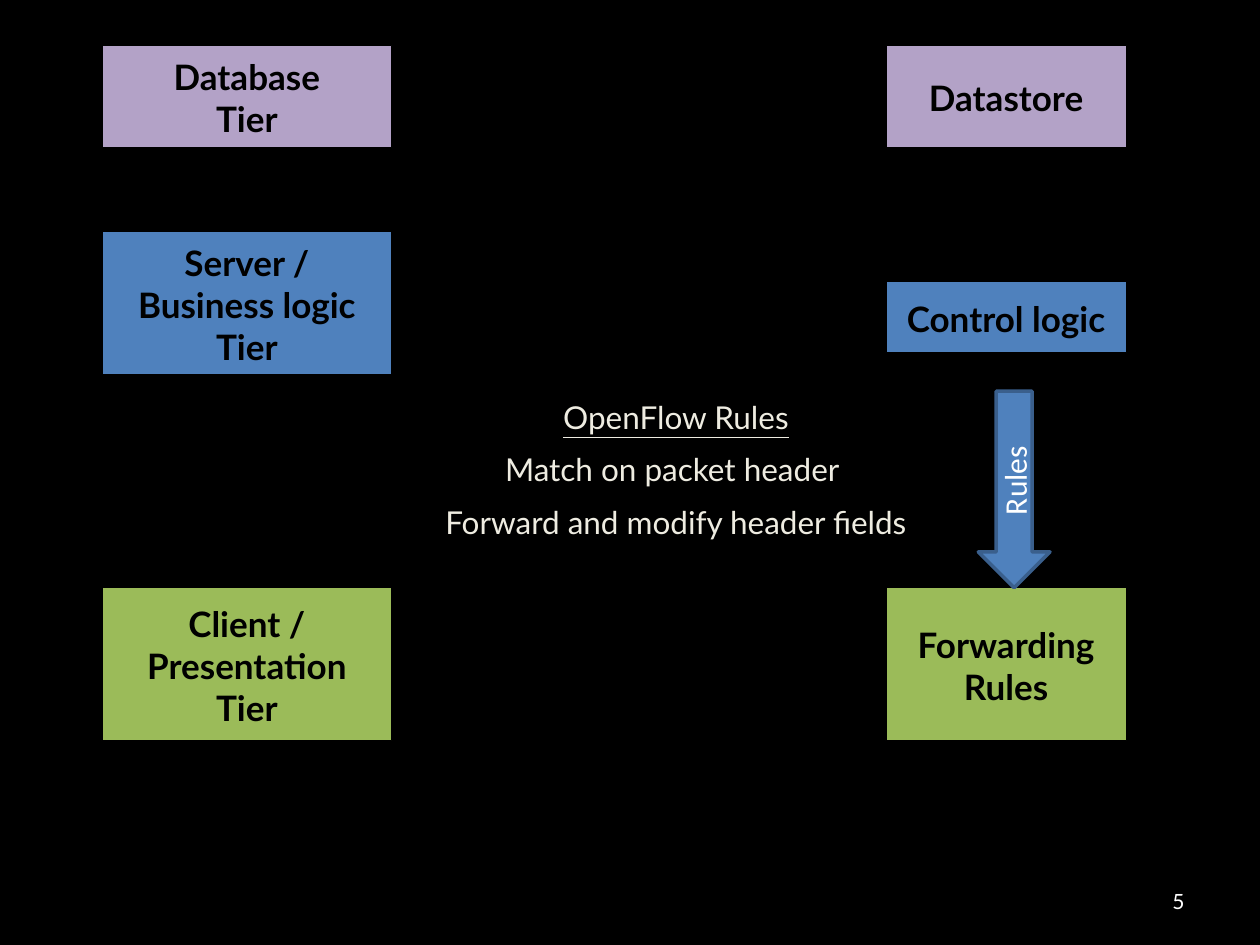
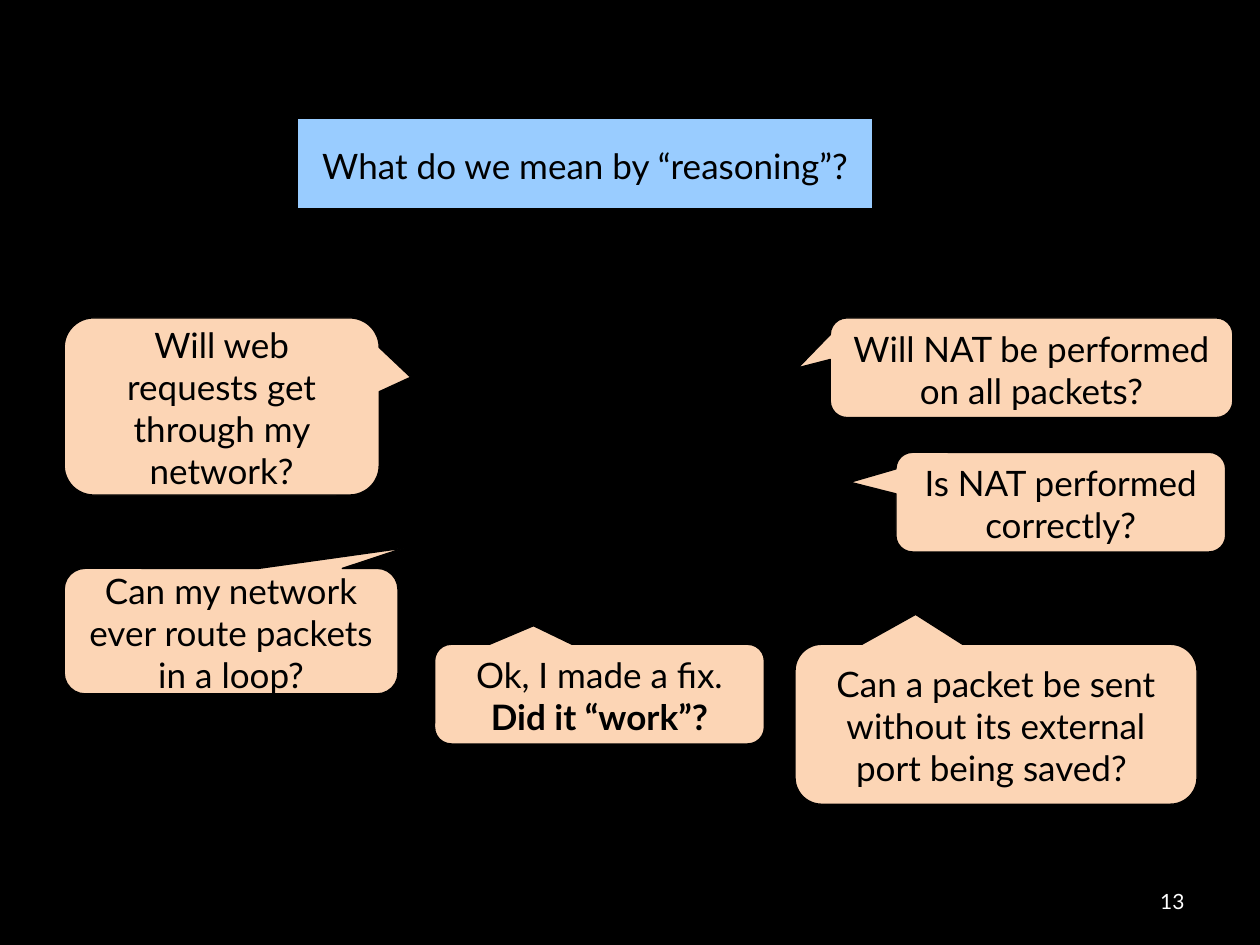
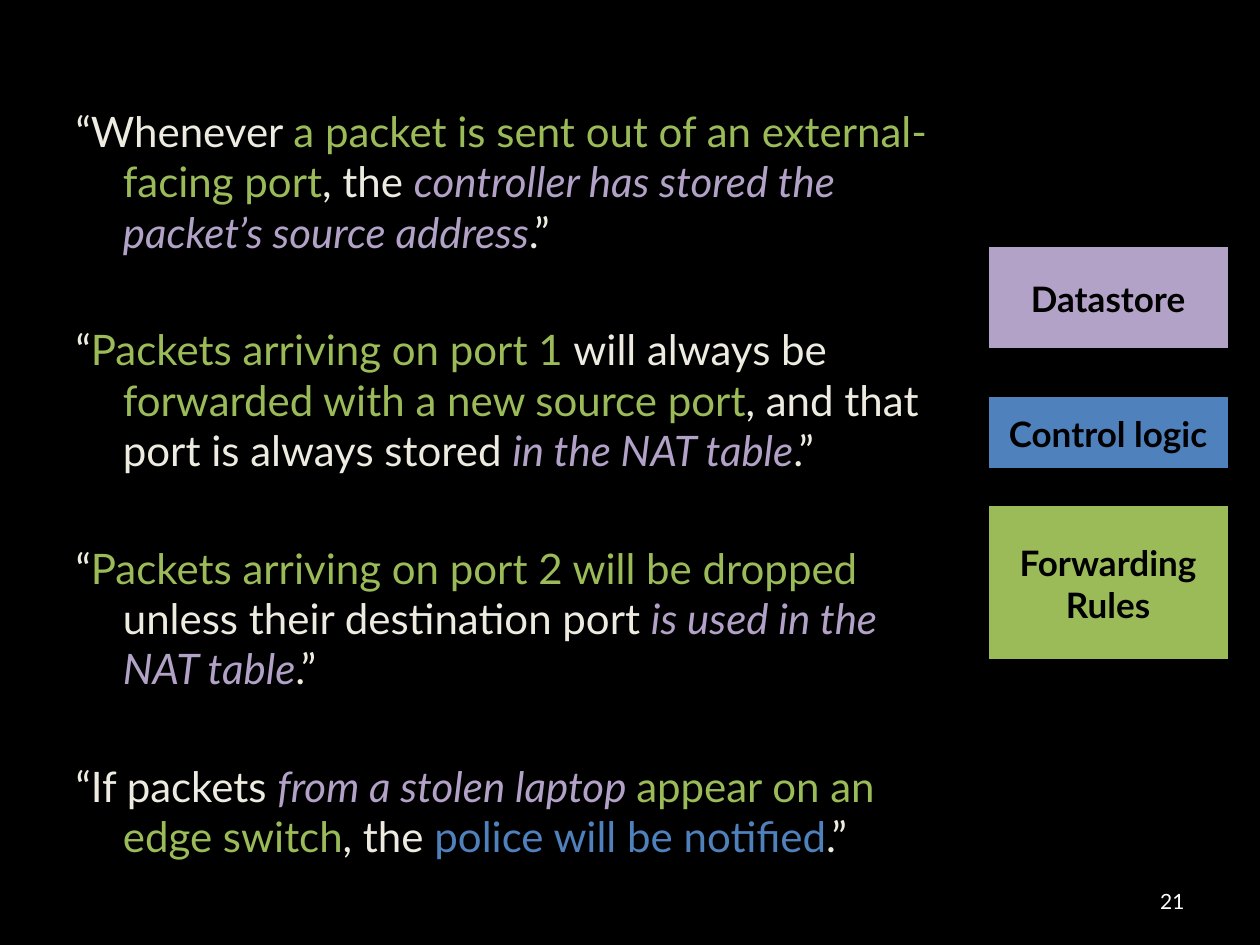
"""Builds three slides on tiers, network reasoning and rule properties."""
from dataclasses import dataclass, field

from pptx import Presentation
from pptx import util as u
from pptx.dml.color import RGBColor
from pptx.enum import shapes, text
from pptx.oxml.ns import qn
from lxml import etree


@dataclass(frozen=True)
class Theme:
    """Colours, fonts and type sizes shared by all slides."""
    font: str = "Lato"
    arrow_font: str = "Calibri"
    number_size: int = 12
    rules_size: int = 18
    label_size: int = 20
    quote_size: int = 24
    colours: dict = field(default_factory=lambda: {
        "back": "000000", "ink": "000000", "number": "FFFFFF",
        "plain": "EEECE1", "store": "B3A2C7", "logic": "4F81BD",
        "rules": "9BBB59", "arrow_line": "3A5F8C",
        "question": "99CCFF", "callout": "FCD5B5"})

    def rgb(self, role):
        """Return the colour of a role."""
        return RGBColor.from_string(self.colours[role])


THEME = Theme()
RECT = shapes.MSO_SHAPE.RECTANGLE
CALLOUT = shapes.MSO_SHAPE.ROUNDED_RECTANGULAR_CALLOUT
CENTER, RIGHT = text.PP_ALIGN.CENTER, text.PP_ALIGN.RIGHT
BOX_INSETS = (6.5, 4.3, 6.5, 2.9)
CALLOUT_INSETS = (7.2, 5, 7.2, 3.6)
TEXT_INSETS = (7.2, 3.6, 7.2, 3.6)
SIDES = ("left", "top", "right", "bottom")

STORE_HEIGHT, RULES_HEIGHT = 58.3, 87.8
ROW_TOPS = {"store": 25.9, "rules": 335.5}
APP_TIERS = [
    ("store", "Database\nTier", ROW_TOPS["store"], STORE_HEIGHT),
    ("logic", "Server /\nBusiness logic\nTier", 132.5, 81.4),
    ("rules", "Client /\nPresentation\nTier", ROW_TOPS["rules"], RULES_HEIGHT)]
SDN_PARTS = [("store", "Datastore", STORE_HEIGHT),
             ("logic", "Control logic", 41),
             ("rules", "Forwarding\nRules", RULES_HEIGHT)]
SDN_WIDTH = 137.4

QUESTIONS = [
    ((36.7, 181.7, 180, 101.2), (0.6, -0.165),
     ["Will web requests get through my network?"]),
    ((36.7, 324.8, 190.7, 71.7), (0.517, -0.662),
     ["Can my network ever route packets in a loop?"]),
    ((474.5, 181.7, 230, 56.9), (-0.58, 0),
     ["Will NAT be performed on all packets?"]),
    ((512, 258.5, 188.4, 56.9), (-0.639, -0.2),
     ["Is NAT performed correctly?"]),
    ((248.4, 368.2, 188.4, 56.9), (-0.2, -0.687),
     ["Ok, I made a fix.", "Did it “work”?"]),
    ((454.3, 368.2, 229.7, 91.4), (-0.2, -0.687),
     ["Can a packet be sent without its external port being saved? "])]

QUOTES = [
    [("“Whenever ", "plain"),
     ("a packet is sent out of an external-facing port", "rules"),
     (", the ", "plain"),
     ("controller has stored the packet’s source address", "store"),
     (".”", "plain")],
    [("“", "plain"), ("Packets arriving on port 1 ", "rules"),
     ("will always be ", "plain"),
     ("forwarded with a new source port", "rules"),
     (", and that port is always stored ", "plain"),
     ("in the NAT table", "store"), (".”", "plain")],
    [("“", "plain"),
     ("Packets arriving on port 2 will be dropped ", "rules"),
     ("unless their destination port ", "plain"),
     ("is used in the NAT table", "store"), (".”", "plain")],
    [("“If packets ", "plain"), ("from a stolen laptop ", "store"),
     ("appear on an edge switch", "rules"), (", the ", "plain"),
     ("police will be notified", "logic"), (".”", "plain")]]


def points(box):
    """Turn a box of numbers into lengths in points."""
    return [u.Pt(value) for value in box]


def apply(target, values):
    """Set each named attribute on the target."""
    for name, value in values.items():
        setattr(target, name, value)


def set_frame(frame, insets, wrap=True, anchor=text.MSO_ANCHOR.MIDDLE):
    """Set insets, wrapping and anchoring of a text frame."""
    apply(frame, {"word_wrap": wrap, "vertical_anchor": anchor,
                  "auto_size": text.MSO_AUTO_SIZE.NONE})
    apply(frame, {f"margin_{side}": u.Pt(value)
                  for side, value in zip(SIDES, insets)})


def add_span(para, words, role, **values):
    """Add a run of words in a role's colour."""
    span = para.add_run()
    span.text = words
    apply(span.font, {"name": THEME.font, "size": u.Pt(THEME.label_size),
                      "bold": False, **values})
    span.font.color.rgb = THEME.rgb(role)


def write_lines(frame, lines, role="ink", align=CENTER, **values):
    """Write one paragraph per line."""
    for index, line in enumerate(lines):
        para = frame.add_paragraph() if index else frame.paragraphs[0]
        para.alignment = align
        add_span(para, line, role, **values)


def paint(shape, fill, line="ink", weight=0.75):
    """Fill and outline a shape."""
    shape.fill.solid()
    shape.fill.fore_color.rgb = THEME.rgb(fill)
    shape.line.color.rgb = THEME.rgb(line)
    shape.line.width = u.Pt(weight)


def add_filled(page, kind, box, fill, **line):
    """Add a flat preset shape."""
    shape = page.shapes.add_shape(kind, *points(box))
    shape.shadow.inherit = False
    paint(shape, fill, **line)
    return shape


def add_text_box(page, box, insets):
    """Add a wrapping text box and return its frame."""
    frame = page.shapes.add_textbox(*points(box)).text_frame
    set_frame(frame, insets)
    return frame


def add_page(deck, layout, number):
    """Add a slide with its printed number."""
    page = deck.slides.add_slide(deck.slide_layouts[layout])
    frame = add_text_box(page, (516, 500.5, 168, 28.7), TEXT_INSETS)
    write_lines(frame, [str(number)], "number", RIGHT,
                size=u.Pt(THEME.number_size))
    return page


def add_tiers(page, left, width, tiers):
    """Draw a column of labelled tiers."""
    for role, label, top, height in tiers:
        shape = add_filled(page, RECT, (left, top, width, height), role)
        set_frame(shape.text_frame, BOX_INSETS, wrap=False)
        write_lines(shape.text_frame, label.split("\n"), bold=True)


def add_sdn_column(page, left, tops):
    """Draw datastore, control logic and forwarding rules at given tops."""
    add_tiers(page, left, SDN_WIDTH,
              [(role, label, top, height)
               for (role, label, height), top in zip(SDN_PARTS, tops)])


def add_rules_arrow(page, box):
    """Draw the downward arrow with its upward label."""
    arrow = add_filled(page, shapes.MSO_SHAPE.LEFT_ARROW, box, "logic",
                       line="arrow_line", weight=2)
    arrow.rotation = 270
    set_frame(arrow.text_frame, TEXT_INSETS)
    write_lines(arrow.text_frame, ["Rules"], "number",
                name=THEME.arrow_font, size=u.Pt(THEME.rules_size))


def add_openflow_note(page, box):
    """Write the note on OpenFlow rules."""
    frame = add_text_box(page, box, (2.9,) * 4)
    write_lines(frame, ["OpenFlow Rules", "Match on packet header ",
                        "Forward and modify header fields"],
                "plain", size=u.Pt(THEME.rules_size))
    heading, *details = frame.paragraphs
    heading.runs[0].font.underline = True
    for para in details:
        para.space_before = u.Pt(8.4)


def add_question_title(page, box):
    """Format the title as a filled banner."""
    title = page.shapes.title
    apply(title, dict(zip(("left", "top", "width", "height"), points(box))))
    paint(title, "question")
    set_frame(title.text_frame, BOX_INSETS, wrap=False)
    write_lines(title.text_frame, ["What do we mean by “reasoning”?"])


def add_callout(page, box, tip, lines):
    """Draw a speech callout, with any second line in bold."""
    shape = add_filled(page, CALLOUT, box, "callout")
    shape.adjustments[0], shape.adjustments[1] = tip
    set_frame(shape.text_frame, CALLOUT_INSETS)
    write_lines(shape.text_frame, lines)
    for para in shape.text_frame.paragraphs[1:]:
        para.runs[0].font.bold = True


def add_quotes(page, box):
    """Write the quoted properties in the body placeholder."""
    body = page.placeholders[1]
    apply(body, dict(zip(("left", "top", "width", "height"), points(box))))
    frame = body.text_frame
    set_frame(frame, (7.2, 37.2, 7.2, 3.6), anchor=text.MSO_ANCHOR.TOP)
    for index, spans in enumerate(QUOTES):
        para = frame.add_paragraph() if index else frame.paragraphs[0]
        props = para._p.get_or_add_pPr()
        props.set("marL", str(u.Pt(27)))
        props.set("indent", str(u.Pt(-27)))
        etree.SubElement(props, qn("a:buNone"))
        para.space_before = u.Pt(38.4 if index else 0)
        for words, role in spans:
            add_span(para, words, role, size=u.Pt(THEME.quote_size),
                     italic=role == "store")


def build_tiers_page(deck):
    """Compare application tiers with network parts."""
    page = add_page(deck, 6, 5)
    left = 506.2
    add_tiers(page, 58.3, 165.6, APP_TIERS)
    add_sdn_column(page, left, (ROW_TOPS["store"], 160.6, ROW_TOPS["rules"]))
    add_openflow_note(page, (240.5, 213.1, 291.6, 110.2))
    add_rules_arrow(page, (left + 17.2, 259.2, 112.3, 41))


def build_questions_page(deck):
    """Show the questions behind reasoning."""
    page = add_page(deck, 5, 13)
    add_question_title(page, (169.9, 67.7, 329, 51.8))
    for box, tip, lines in QUESTIONS:
        add_callout(page, box, tip, lines)


def build_quotes_page(deck):
    """Show properties coloured by the part they concern."""
    page = add_page(deck, 1, 21)
    title = page.shapes.title
    title.element.getparent().remove(title.element)
    add_quotes(page, (36, 23, 508.3, 416.9))
    add_sdn_column(page, 564.5, (140.7, 226.8, 288.9))


def main():
    """Build and save the deck."""
    deck = Presentation()
    apply(deck, {"slide_width": u.Pt(720), "slide_height": u.Pt(540)})
    fill = deck.slide_master.background.fill
    fill.solid()
    fill.fore_color.rgb = THEME.rgb("back")
    for build in (build_tiers_page, build_questions_page, build_quotes_page):
        build(deck)
    deck.save("out.pptx")


if __name__ == "__main__":
    main()
